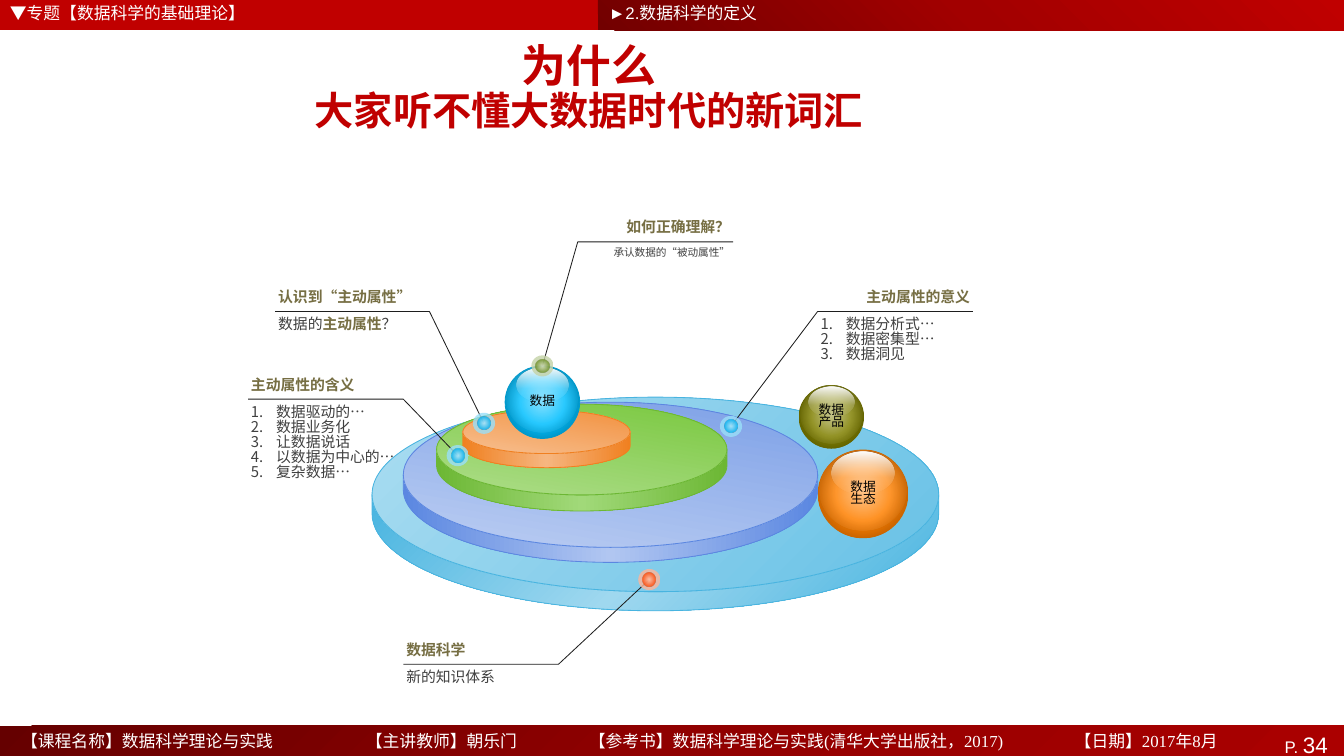
"""Build a slide on the active attributes of data: stacked discs, balls and callouts."""
import math

from lxml import etree
from pptx import Presentation
from pptx import util as u
from pptx.dml.color import RGBColor
from pptx.enum import shapes, text
from pptx.oxml import ns

I = u.Inches
CJK = "Noto Sans CJK SC"
WHITE = RGBColor(255, 255, 255)
BLACK = RGBColor(0, 0, 0)
RED = RGBColor(0xC0, 0, 0)
OLIVE = RGBColor(0x76, 0x6E, 0x43)
GREY = RGBColor(0x40, 0x40, 0x40)
INK = RGBColor(0x1E, 0x1E, 0x1E)
LEFT, CENTER, RIGHT = text.PP_ALIGN.LEFT, text.PP_ALIGN.CENTER, text.PP_ALIGN.RIGHT
TOP, MIDDLE, BOTTOM = text.MSO_ANCHOR.TOP, text.MSO_ANCHOR.MIDDLE, text.MSO_ANCHOR.BOTTOM

BANDS = [
    ((0, 0, 5.93, 0.3), [(0, "C00000"), (100, "C00000")], 0),
    ((0, 7.2, 13.33, 0.37), [(0, "650000"), (50, "900000"), (100, "AB0000")], 45),
    ((5.93, 0, 7.4, 0.3), [(0, "720000"), (50, "A20000"), (100, "C00000")], 315),
]
HEADERS = [(0, 4.83, "▼专题【数据科学的基础理论】"), (5.94, 2.38, "►2.数据科学的定义")]
FOOTERS = [
    (0.21, 3, "【课程名称】数据科学理论与实践"),
    (3.63, 2, "【主讲教师】朝乐门"),
    (5.84, 4.7, "【参考书】数据科学理论与实践(清华大学出版社，2017)"),
    (10.66, 2, "【日期】2017年8月"),
]
TITLE = [("为什么", 32), ("大家听不懂大数据时代的新词汇", 28)]
DISCS = [
    ((3.69, 3.94, 5.62, 1.93), 0.19, "48B4E0", "9FD8EF", 45, "ABDDF1", "67C1E6", 45),
    ((4, 3.99, 4.11, 1.44), 0.15, "5B87E1", "B1C6F1", 0, "BBCDF2", "7DA0E7", 280),
    ((4.33, 4.01, 2.88, 0.9), 0.16, "6CB734", "A1D979", 0, "ADDD89", "7AC840", 280),
    ((4.59, 4.07, 1.66, 0.43), 0.14, "F08020", "F6B680", 0, "F7BF90", "F29240", 280),
]
BALLS = [
    ((7.92, 3.82, 0.65, 0.63), ["999933", "808000", "666600"], ["数据", "产品"], None),
    ((8.11, 4.46, 0.9, 0.88), ["FF9933", "FF8000", "CC6600"], ["数据", "生态"], None),
    ((5.01, 3.63, 0.74, 0.72), ["33CCFF", "00BFFF", "0099CC"], ["数据"], "0099CC"),
]
GREEN_DOT = ("C4D2A7", "D3DDBD", "6B8E23")
BLUE_DOT = ("99DFF9", "B2E7FA", "00AEEE")
RED_DOT = ("FFB599", "FFC7B2", "FF4500")


def plain(line, size=10.6):
    return [(line, size, GREY, False)]


CALLOUTS = [
    ((7.27, 2.4), 5.73, (5.38, 3.63), GREEN_DOT, "如何正确理解？",
     [plain("承认数据的“被动属性”", 7.6)], RIGHT, False),
    ((2.73, 3.09), 4.26, (4.8, 4.2), BLUE_DOT, "认识到“主动属性”",
     [plain("数据的") + [("主动属性", 10.6, OLIVE, True)] + plain("？")], LEFT, False),
    ((2.46, 3.96), 4, (4.54, 4.52), BLUE_DOT, "主动属性的含义",
     [plain(t) for t in ("数据驱动的…", "数据业务化", "让数据说话", "以数据为中心的…", "复杂数据…")],
     LEFT, True),
    ((4, 6.59), 5.54, (6.44, 5.75), RED_DOT, "数据科学", [plain("新的知识体系")], LEFT, False),
    ((9.65, 3.09), 8.11, (7.25, 4.23), BLUE_DOT, "主动属性的意义",
     [plain(t) for t in ("数据分析式…", "数据密集型…", "数据洞见")], LEFT, True),
]


def gradient(sp, stops, angle=None):
    """Fill with (position, colour[, opacity]) stops; no angle means radial."""
    sp.fill.background()
    old = sp._element.spPr.find(ns.qn("a:noFill"))
    grad = etree.Element(ns.qn("a:gradFill"), rotWithShape="1")
    gs_list = etree.SubElement(grad, ns.qn("a:gsLst"))
    for pos, color, *alpha in stops:
        gs = etree.SubElement(gs_list, ns.qn("a:gs"), pos=str(pos * 1000))
        clr = etree.SubElement(gs, ns.qn("a:srgbClr"), val=color)
        for a in alpha:
            etree.SubElement(clr, ns.qn("a:alpha"), val=str(a * 1000))
    if angle is None:
        radial = etree.SubElement(grad, ns.qn("a:path"), path="circle")
        etree.SubElement(radial, ns.qn("a:fillToRect"), **dict.fromkeys("ltrb", "50000"))
    else:
        etree.SubElement(grad, ns.qn("a:lin"), ang=str(angle * 60000), scaled="0")
    old.getparent().replace(old, grad)


def outline(sp, color=None):
    sp.shadow.inherit = False
    if color is None:
        sp.line.fill.background()
    else:
        sp.line.color.rgb = color
        sp.line.width = u.Pt(0.6)


def add_shape(s, kind, box, stops, angle=None, line=None):
    sp = s.shapes.add_shape(kind, *map(I, box))
    gradient(sp, stops, angle)
    outline(sp, line)
    return sp


def add_oval(s, box, stops, angle=None, line=None):
    return add_shape(s, shapes.MSO_SHAPE.OVAL, box, stops, angle, line)


def add_path(s, points, close):
    (x, y), *rest = [(I(px), I(py)) for px, py in points]
    fb = s.shapes.build_freeform(x, y)
    fb.add_line_segments(rest, close=close)
    return fb.convert_to_shape()


def add_run(p, words, size, color, bold=False, latin=CJK):
    r = p.add_run()
    r.text = words
    r.font.size, r.font.bold, r.font.name = u.Pt(size), bold, latin
    r.font.color.rgb = color
    etree.SubElement(r._r.get_or_add_rPr(), ns.qn("a:ea"), typeface=CJK)


def add_text(s, box, paras, align=LEFT, anchor=TOP, insets=(0.03, 0.02), latin=CJK,
             spacing=None, numbered=False):
    tf = s.shapes.add_textbox(*map(I, box)).text_frame
    tf.word_wrap, tf.vertical_anchor = True, anchor
    tf.margin_left = tf.margin_right = I(insets[0])
    tf.margin_top = tf.margin_bottom = I(insets[1])
    for i, runs in enumerate(paras):
        p = tf.paragraphs[0] if i == 0 else tf.add_paragraph()
        p.alignment = align
        if spacing:
            p.line_spacing = spacing
        if numbered:
            pPr = p._p.get_or_add_pPr()
            pPr.set("marL", str(I(0.25)))
            pPr.set("indent", str(I(-0.25)))
            etree.SubElement(pPr, ns.qn("a:buFont"), typeface="+mj-lt")
            etree.SubElement(pPr, ns.qn("a:buAutoNum"), type="arabicPeriod")
        for j, run in enumerate(runs):
            if run[0] == "\n":
                p.add_line_break()
            else:
                add_run(p, *run, latin=latin)


def add_frame(s):
    bands = [add_shape(s, shapes.MSO_SHAPE.RECTANGLE, *band) for band in BANDS]
    tf = bands[1].text_frame
    tf.vertical_anchor, tf.margin_right = TOP, I(0.16)
    p = tf.paragraphs[0]
    p.alignment = RIGHT
    add_run(p, "P. ", 12, WHITE, latin="Arial")
    add_run(p, "34", 16, WHITE, latin="Arial")
    for x, w, words in HEADERS:
        add_text(s, (x, 0, w, 0.29), [[(words, 12, WHITE)]], insets=(0.1, 0.03), latin="Arial")
    for x, w, words in FOOTERS:
        add_text(s, (x, 7.22, w, 0.35), [[(words, 12, WHITE)]], insets=(0, 0.03),
                 latin="Times New Roman")
    first, second = [(words, size, RED, True) for words, size in TITLE]
    add_text(s, (0.44, 0.43, 10.8, 0.9), [[first, ("\n",), second]], CENTER, MIDDLE, spacing=0.9)


def add_disc(s, box, depth, edge, shine, wall_angle, light, dark, top_angle):
    x, y, w, h = box
    arc = [(x + w / 2 * (1 - math.cos(math.pi * k / 60)),
            y + h / 2 * (1 + math.sin(math.pi * k / 60))) for k in range(61)]
    wall = add_path(s, [(px, py + depth) for px, py in arc] + arc[::-1], True)
    gradient(wall, [(0, edge), (50, shine), (100, edge)], wall_angle)
    line = RGBColor.from_string(edge)
    outline(wall, line)
    add_oval(s, box, [(0, light), (100, dark)], top_angle, line)


def add_ball(s, box, colors, words, edge):
    x, y, w, h = box
    add_oval(s, box, list(zip((0, 42, 70, 100), colors + colors[-1:])),
             line=edge and RGBColor.from_string(edge))
    add_oval(s, (x + 0.025 * w, y + 0.01, 0.95 * w, 0.9 * h),
             [(0, "FFFFFF", 40), (72, "FFFFFF", 4), (100, "FFFFFF", 4)])
    add_oval(s, (x + 0.15 * w, y + 0.02, 0.7 * w, 0.48 * h),
             [(0, "FFFFFF", 100), (60, "FFFFFF", 20), (100, "FFFFFF", 0)], 90)
    add_text(s, box, [[(t, 9.1, BLACK)] for t in words], CENTER, MIDDLE, spacing=0.82)


def add_callout(s, outer, bend, target, dot, head, paras, align, numbered):
    x, y = outer
    leader = add_path(s, [outer, (bend, y), target], False)
    leader.fill.background()
    outline(leader, INK)
    left, width = min(x, bend), abs(x - bend)
    add_text(s, (left, y - 0.3, width, 0.26), [[(head, 10.6, OLIVE, True)]],
             RIGHT if x > bend else LEFT, BOTTOM, spacing=0.84)
    add_text(s, (left, y + 0.04, width, 0.26), paras, align, spacing=0.84, numbered=numbered)
    halo, light, core = dot
    cx, cy = target
    add_oval(s, (cx - 0.11, cy - 0.105, 0.22, 0.21), [(0, halo, 80), (100, halo, 80)], 0)
    add_oval(s, (cx - 0.065, cy - 0.065, 0.13, 0.13),
             [(0, light, 80), (69, core, 80), (100, core, 80)])


def main():
    prs = Presentation()
    prs.slide_width, prs.slide_height = I(13.33), I(7.5)
    s = prs.slides.add_slide(prs.slide_layouts[6])
    add_frame(s)
    for add, items in ((add_disc, DISCS), (add_ball, BALLS), (add_callout, CALLOUTS)):
        for item in items:
            add(s, *item)
    prs.save("out.pptx")


if __name__ == "__main__":
    main()
